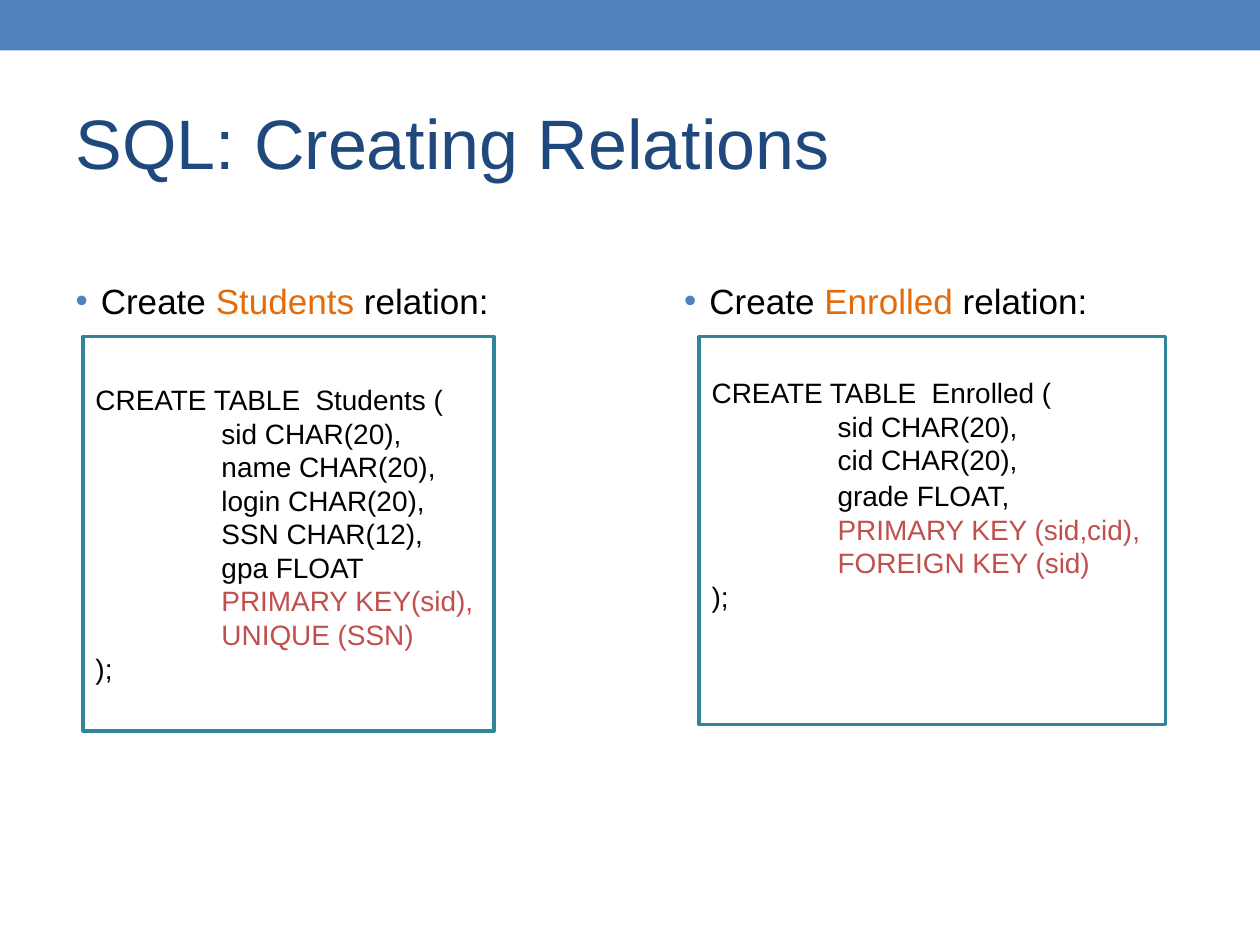
"""Build a slide showing the SQL statements that create two relations."""
from lxml import etree
from pptx import Presentation, util as u
from pptx.dml.color import RGBColor
from pptx.enum import shapes, text
from pptx.oxml import ns

BLACK, BLUE, ORANGE, RED, TEAL = "000000", "4F81BD", "E36C09", "C0504D", "31859B"


def add_run(paragraph, content, size, color):
    paragraph.line_spacing = u.Pt(size * 1.2)
    paragraph.space_before = u.Pt(0)
    run = paragraph.add_run()
    run.text = content
    run.font.name = "Arial"
    run.font.size = u.Pt(size)
    run.font.color.rgb = RGBColor.from_string(color)


def place(shape, left, top, width, height):
    shape.left, shape.top = u.Inches(left), u.Inches(top)
    shape.width, shape.height = u.Inches(width), u.Inches(height)


presentation = Presentation()
presentation.slide_width, presentation.slide_height = u.Inches(10), u.Inches(7.5)
slide = presentation.slides.add_slide(presentation.slide_layouts[3])

bar = slide.shapes.add_shape(
    shapes.MSO_SHAPE.RECTANGLE, 0, 0, presentation.slide_width, u.Inches(0.4))
bar.shadow.inherit = False
bar.fill.solid()
bar.fill.fore_color.rgb = RGBColor.from_string(BLUE)
bar.line.fill.background()

title = slide.shapes.title
place(title, 0.5, 0.58, 9, 1.08)
title.text_frame.vertical_anchor = text.MSO_ANCHOR.MIDDLE
title.text_frame.auto_size = text.MSO_AUTO_SIZE.NONE
title_paragraph = title.text_frame.paragraphs[0]
title_paragraph.alignment = text.PP_ALIGN.LEFT
add_run(title_paragraph, "SQL: Creating Relations", 40, "1F497D")

relations = [
    {
        "name": "Students", "left": 0.5, "box": (0.66, 2.67, 3.26, 3.13),
        "anchor": text.MSO_ANCHOR.MIDDLE, "inset": 0.05,
        "columns": ["sid CHAR(20),", "name CHAR(20),", "login CHAR(20),",
                    "SSN CHAR(12),", "gpa FLOAT"],
        "constraints": ["PRIMARY KEY(sid),", "UNIQUE (SSN)"],
    },
    {
        "name": "Enrolled", "left": 5.33, "box": (5.55, 2.67, 3.7, 3.08),
        "anchor": text.MSO_ANCHOR.TOP, "inset": 0.31,
        "columns": ["sid CHAR(20),", "cid CHAR(20),", "grade FLOAT,"],
        "constraints": ["PRIMARY KEY (sid,cid),", "FOREIGN KEY (sid)"],
    },
]

for index, relation in enumerate(relations, start=1):
    body = slide.placeholders[index]
    place(body, relation["left"], 2.17, 3.68, 5.33)
    body.text_frame.auto_size = text.MSO_AUTO_SIZE.NONE
    paragraph = body.text_frame.paragraphs[0]
    for content, color in (("Create ", BLACK), (relation["name"], ORANGE),
                           (" relation:", BLACK)):
        add_run(paragraph, content, 20, color)
    properties = paragraph._p.get_or_add_pPr()
    properties.set("marL", str(u.Inches(0.2)))
    properties.set("indent", str(u.Inches(-0.2)))
    bullet_color = etree.SubElement(properties, ns.qn("a:buClr"))
    etree.SubElement(bullet_color, ns.qn("a:srgbClr"), val=BLUE)
    etree.SubElement(properties, ns.qn("a:buFont"), typeface="Arial")
    etree.SubElement(properties, ns.qn("a:buChar"), char="•")

    box = slide.shapes.add_shape(
        shapes.MSO_SHAPE.RECTANGLE, *map(u.Inches, relation["box"]))
    box.shadow.inherit = False
    box.fill.background()
    box.line.color.rgb = RGBColor.from_string(TEAL)
    box.line.width = u.Pt(2.08)
    frame = box.text_frame
    frame.word_wrap = True
    frame.vertical_anchor = relation["anchor"]
    frame.margin_top = u.Inches(relation["inset"])

    lines = [(f"CREATE TABLE  {relation['name']} (", BLACK)]
    lines += [("\t" + column, BLACK) for column in relation["columns"]]
    lines += [("\t" + constraint, RED) for constraint in relation["constraints"]]
    lines.append((");", BLACK))
    for number, (content, color) in enumerate(lines):
        paragraph = frame.add_paragraph() if number else frame.paragraphs[0]
        paragraph.alignment = text.PP_ALIGN.LEFT
        add_run(paragraph, content, 16, color)
        if content == "\tgrade FLOAT,":
            paragraph.space_before = u.Pt(1.4)
        tabs = etree.SubElement(paragraph._p.get_or_add_pPr(), ns.qn("a:tabLst"))
        etree.SubElement(tabs, ns.qn("a:tab"), pos=str(u.Inches(1)), algn="l")

presentation.save("out.pptx")
